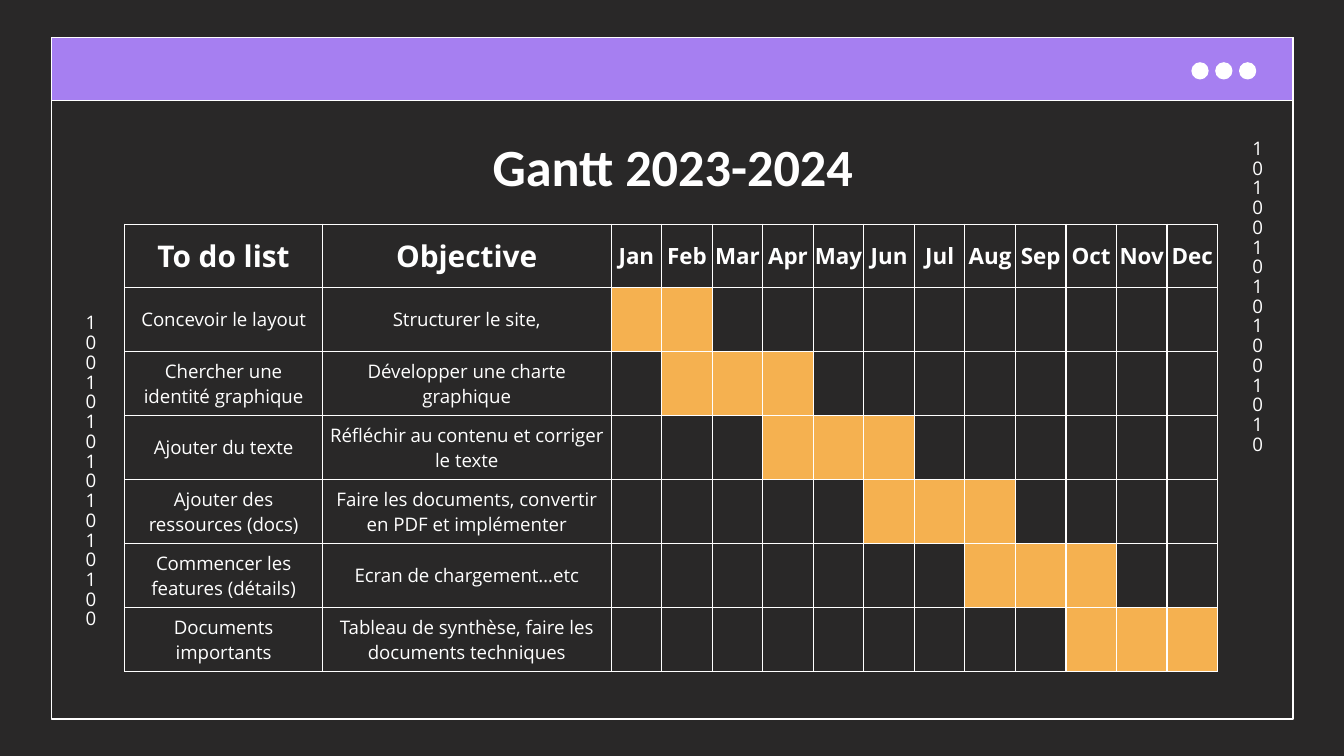
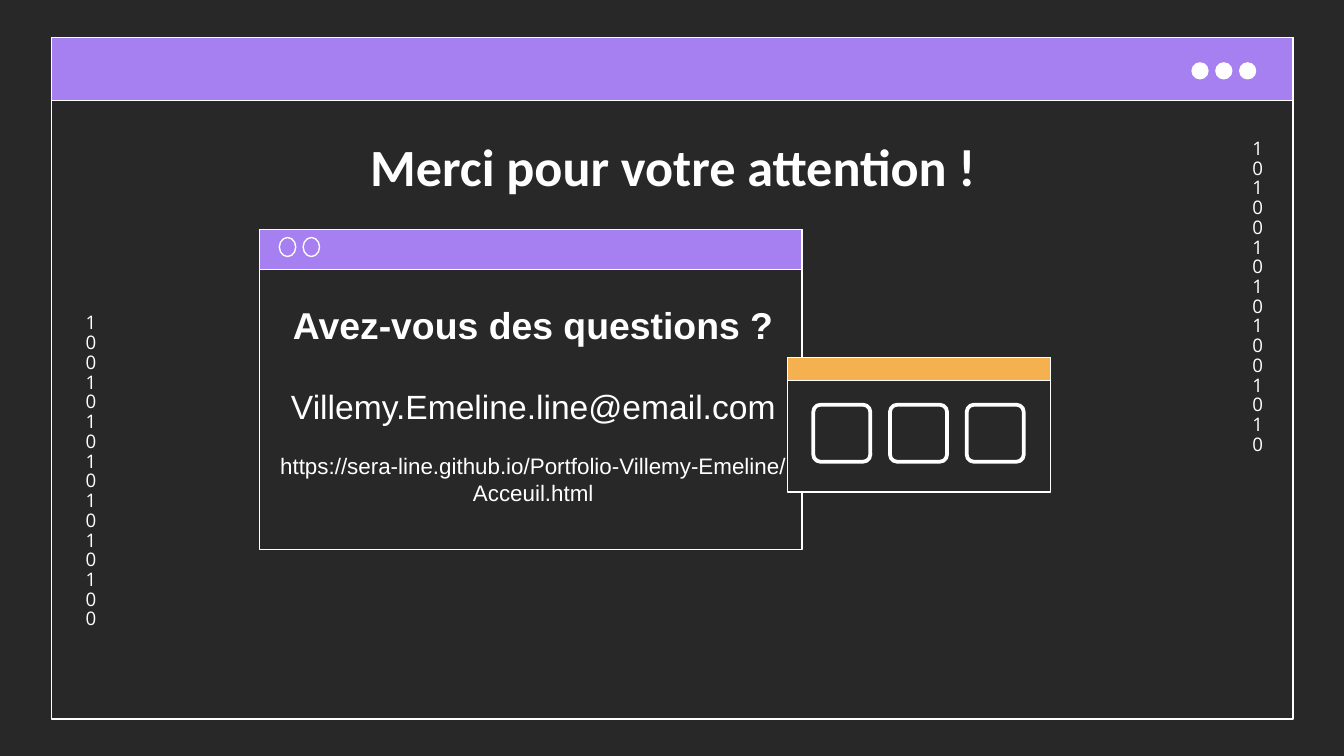
from collections import namedtuple

from lxml import etree
from pptx import Presentation
from pptx import util as u
from pptx.dml.color import RGBColor
from pptx.enum import shapes, text
from pptx.oxml.ns import qn

Box = namedtuple("Box", "left top width height")  # centimetres

COLOURS = {
    "background": "292828",
    "white": "FFFFFF",
    "purple": "A67FF1",
    "orange": "F5B150",
}
LINE_WIDTH = u.Pt(0.75)

TITLE_FONT = {"name": "Calibri", "size": u.Pt(28), "bold": True}
DIGIT_FONT = {"name": "Open Sans", "size": u.Pt(10)}
HEADER_FONT = {"name": "Open Sans", "size": u.Pt(16), "bold": True}
MONTH_FONT = HEADER_FONT | {"size": u.Pt(12)}
TASK_FONT = {"name": "Open Sans", "size": u.Pt(10), "bold": False}

SLIDE_WIDTH, SLIDE_HEIGHT = 25.4, 14.29
MAIN_WINDOW = Box(0.97, 0.71, 23.47, 12.88)
TITLE_BOX = Box(2.01, 2.29, 21.41, 1.6)
GANTT_BOX = Box(2.36, 4.24, 20.65, 8.45)
CONTACT_WINDOW = Box(4.9, 4.34, 10.26, 6.05)
SOCIAL_WINDOW = Box(14.88, 6.76, 4.98, 2.54)

DIGIT_COLUMNS = [
    ("1010010101001010", Box(23.42, 2.39, 0.61, 7.11)),
    ("1001010101010100", Box(1.37, 5.69, 0.61, 7.11)),
]

MONTHS = ["Jan", "Feb", "Mar", "Apr", "May", "Jun",
          "Jul", "Aug", "Sep", "Oct", "Nov", "Dec"]
TASKS = [  # task, objective, first month, last month
    ("Concevoir le layout", "Structurer le site,", "Jan", "Feb"),
    ("Chercher une identité graphique", "Développer une charte graphique", "Feb", "Apr"),
    ("Ajouter du texte", "Réfléchir au contenu et corriger le texte", "Apr", "Jun"),
    ("Ajouter des ressources (docs)",
     "Faire les documents, convertir en PDF et implémenter", "Jun", "Aug"),
    ("Commencer les features (détails)", "Ecran de chargement…etc", "Aug", "Oct"),
    ("Documents importants",
     "Tableau de synthèse, faire les documents techniques", "Oct", "Dec"),
]
CONTACT_LINES = [  # wording, size, bold, space before
    ("Avez-vous des questions ?", 20, True, 0),
    ("Villemy.Emeline.line@email.com", 18, False, 20.7),
    ("https://sera-line.github.io/Portfolio-Villemy-Emeline/Acceuil.html", 12, False, 13.8),
]


def colour(name):
    return RGBColor.from_string(COLOURS[name])


def lengths(box):
    return [u.Cm(value) for value in box]


def set_margins(target, horizontal, vertical):
    target.margin_left = target.margin_right = u.Cm(horizontal)
    target.margin_top = target.margin_bottom = u.Cm(vertical)


def write(paragraph, wording, font_format):
    paragraph.text = wording
    paragraph.alignment = text.PP_ALIGN.CENTER
    for name, value in font_format.items():
        setattr(paragraph.font, name, value)
    paragraph.font.color.rgb = colour("white")


def add_outlined(slide, kind, box, fill=None, line_width=LINE_WIDTH):
    shape = slide.shapes.add_shape(kind, *lengths(box))
    shape.shadow.inherit = False
    if fill:
        shape.fill.solid()
        shape.fill.fore_color.rgb = colour(fill)
    else:
        shape.fill.background()
    shape.line.color.rgb = colour("white")
    shape.line.width = line_width
    return shape


def add_window(slide, box, bar_height, bar_colour, fill=None):
    add_outlined(slide, shapes.MSO_SHAPE.RECTANGLE, box, fill)
    add_outlined(slide, shapes.MSO_SHAPE.RECTANGLE,
                 box._replace(height=bar_height), bar_colour)


def add_buttons(slide, window, first, step, count, fill=None):
    """Add a row of round buttons; first is a box relative to the window."""
    for index in range(count):
        box = first._replace(left=window.left + first.left + index * step,
                             top=window.top + first.top)
        add_outlined(slide, shapes.MSO_SHAPE.OVAL, box, fill)


def add_text_frame(slide, box):
    frame = slide.shapes.add_textbox(*lengths(box)).text_frame
    frame.word_wrap = True
    return frame


def add_digit_column(slide, digits, box):
    """Add digits in a box so narrow that each one wraps to its own line."""
    frame = add_text_frame(slide, box)
    set_margins(frame, 0.25, 0.25)
    write(frame.paragraphs[0], digits, DIGIT_FONT)
    frame.paragraphs[0].line_spacing = 0.88


def set_title(slide, wording, box):
    title = slide.shapes.title
    title.left, title.top, title.width, title.height = lengths(box)
    frame = title.text_frame
    frame.auto_size = text.MSO_AUTO_SIZE.NONE
    frame.vertical_anchor = text.MSO_ANCHOR.TOP
    set_margins(frame, 0.25, 0.25)
    write(frame.paragraphs[0], wording, TITLE_FONT)


def add_base_slide(presentation, title):
    slide = presentation.slides.add_slide(presentation.slide_layouts.get_by_name("Title Only"))
    add_window(slide, MAIN_WINDOW, 1.19, "purple")
    add_buttons(slide, MAIN_WINDOW, Box(21.56, 0.48, 0.3, 0.3), 0.45, 3, "white")
    for digits, box in DIGIT_COLUMNS:
        add_digit_column(slide, digits, box)
    set_title(slide, title, TITLE_BOX)
    return slide


def add_borders(cell):
    properties = cell._tc.get_or_add_tcPr()
    for index, side in enumerate(("a:lnL", "a:lnR", "a:lnT", "a:lnB")):
        border = etree.Element(qn(side), w=str(int(LINE_WIDTH)))
        solid = etree.SubElement(border, qn("a:solidFill"))
        etree.SubElement(solid, qn("a:srgbClr"), val=COLOURS["white"])
        properties.insert(index, border)


def format_cell(cell, wording="", font_format=TASK_FONT, margins=(0.13, 0.13), fill=None):
    cell.vertical_anchor = text.MSO_ANCHOR.MIDDLE
    set_margins(cell, *margins)
    write(cell.text_frame.paragraphs[0], wording, font_format)
    if fill:
        cell.fill.solid()
        cell.fill.fore_color.rgb = colour(fill)
    else:
        cell.fill.background()
    add_borders(cell)


def add_gantt(slide, box):
    table = slide.shapes.add_table(len(TASKS) + 1, len(MONTHS) + 2, *lengths(box)).table
    table.first_row = table.horz_banding = False

    label_widths = [3.73, 5.46]
    month_width = (box.width - sum(label_widths)) / len(MONTHS)
    for column, width in zip(table.columns, label_widths + [month_width] * len(MONTHS)):
        column.width = u.Cm(width)
    header_height = 1.19
    task_height = (box.height - header_height) / len(TASKS)
    for row, height in zip(table.rows, [header_height] + [task_height] * len(TASKS)):
        row.height = u.Cm(height)

    for column, heading in enumerate(["To do list", "Objective"]):
        format_cell(table.cell(0, column), heading, HEADER_FONT, (0.25, 0))
    for column, month in enumerate(MONTHS, 2):
        format_cell(table.cell(0, column), month, MONTH_FONT, (0, 0))

    for row, (task, objective, first, last) in enumerate(TASKS, 1):
        format_cell(table.cell(row, 0), task)
        format_cell(table.cell(row, 1), objective)
        for index in range(len(MONTHS)):
            active = MONTHS.index(first) <= index <= MONTHS.index(last)
            format_cell(table.cell(row, index + 2), fill="orange" if active else None)


def add_contact_window(slide, box):
    add_window(slide, box, 0.76, "purple")
    add_buttons(slide, box, Box(0.38, 0.15, 0.31, 0.36), 0.45, 2)


def add_contact_text(slide, window):
    frame = add_text_frame(slide, Box(window.left - 0.61, window.top + 1.2, 11.58, 4.19))
    frame.vertical_anchor = text.MSO_ANCHOR.MIDDLE
    for index, (wording, size, bold, space) in enumerate(CONTACT_LINES):
        paragraph = frame.add_paragraph() if index else frame.paragraphs[0]
        write(paragraph, wording, {"name": "Arial", "size": u.Pt(size), "bold": bold})
        paragraph.space_before = u.Pt(space)


def add_social_window(slide, box):
    add_window(slide, box, 0.43, "orange", "background")
    size, step = 1.08, 1.45
    for index in range(3):
        icon = Box(box.left + 0.49 + index * step, box.top + 0.89, size, size)
        shape = add_outlined(slide, shapes.MSO_SHAPE.ROUNDED_RECTANGLE, icon,
                             line_width=u.Pt(2))
        shape.adjustments[0] = 0.13


def add_gantt_slide(presentation):
    slide = add_base_slide(presentation, "Gantt 2023-2024")
    add_gantt(slide, GANTT_BOX)


def add_closing_slide(presentation):
    slide = add_base_slide(presentation, "Merci pour votre attention !")
    add_contact_window(slide, CONTACT_WINDOW)
    add_social_window(slide, SOCIAL_WINDOW)
    add_contact_text(slide, CONTACT_WINDOW)


def main():
    presentation = Presentation()
    presentation.slide_width = u.Cm(SLIDE_WIDTH)
    presentation.slide_height = u.Cm(SLIDE_HEIGHT)
    background = presentation.slide_master.background.fill
    background.solid()
    background.fore_color.rgb = colour("background")
    add_gantt_slide(presentation)
    add_closing_slide(presentation)
    presentation.save("out.pptx")


if __name__ == "__main__":
    main()
